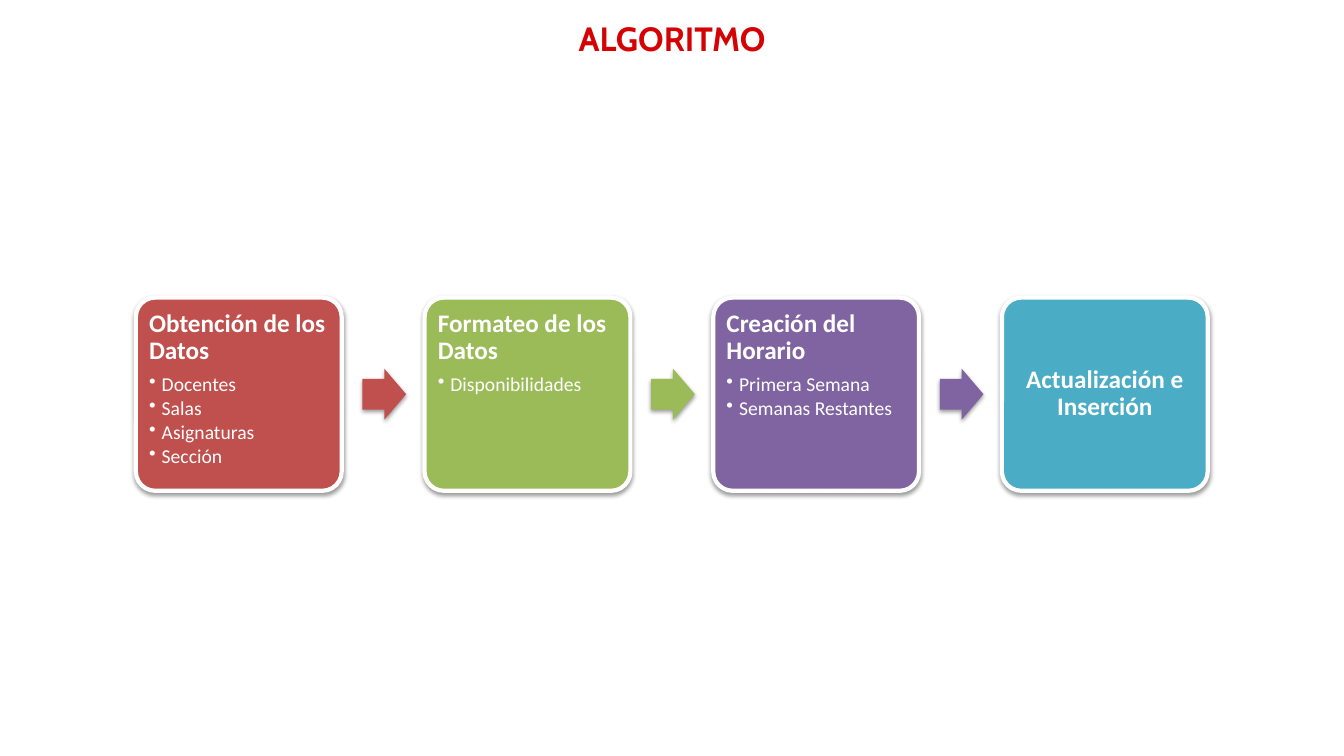
from lxml.etree import SubElement
from pptx import Presentation
from pptx.dml.color import RGBColor
from pptx.enum.shapes import MSO_SHAPE as SHAPE
from pptx.enum.text import MSO_ANCHOR as ANCHOR, PP_ALIGN as ALIGN
from pptx.oxml.ns import qn
from pptx.util import Pt

COLORS = {
    "title": "D40202", "white": "FFFFFF", "shadow": "000000",
    "red": "C0504D", "green": "9BBB59", "purple": "8064A2", "blue": "4BACC6",
}
STEPS = [
    ("red", "Obtención de los Datos", ["Docentes", "Salas", "Asignaturas", "Sección"]),
    ("green", "Formateo de los Datos", ["Disponibilidades"]),
    ("purple", "Creación del Horario", ["Primera Semana", "Semanas Restantes"]),
    ("blue", "Actualización e Inserción", []),
]
LEFT, PITCH = 97.1, 206.2
BOX_W, BOX_H, BOX_TOP = 147, 138, 212.6
ARROW_W, ARROW_H, ARROW_GAP = 31.2, 36.5, 14.8
INDENT = 9


class Deck:
    def __init__(self):
        self.prs = Presentation()
        self.prs.slide_width, self.prs.slide_height = Pt(960), Pt(540)
        self.s = self.prs.slides.add_slide(self.prs.slide_layouts[6])

    def run(self, p, text, size, color="white", bold=False, font="Calibri"):
        r = p.add_run()
        r.text = text
        r.font.name, r.font.size, r.font.bold = font, Pt(size), bold
        r.font.color.rgb = RGBColor.from_string(COLORS[color])

    def title(self, text):
        tf = self.s.shapes.add_textbox(Pt(174), Pt(0), Pt(612), Pt(54)).text_frame
        tf.word_wrap = True
        tf.vertical_anchor = ANCHOR.MIDDLE
        p = tf.paragraphs[0]
        p.alignment = ALIGN.CENTER
        self.run(p, text, 24, "title", True, "Cabin")

    def shape(self, kind, x, y, w, h, color, adjustments):
        """Add a filled preset shape with a soft shadow below it."""
        sp = self.s.shapes.add_shape(kind, Pt(x), Pt(y), Pt(w), Pt(h))
        for i, value in enumerate(adjustments):
            sp.adjustments[i] = value
        sp.fill.solid()
        sp.fill.fore_color.rgb = RGBColor.from_string(COLORS[color])
        sp.line.fill.background()
        sp.shadow.inherit = False
        effects = sp.element.spPr.find(qn("a:effectLst"))
        shadow = SubElement(effects, qn("a:outerShdw"), blurRad=str(Pt(3.1)),
                            dist=str(Pt(1.6)), dir="5400000", rotWithShape="0")
        tint = SubElement(shadow, qn("a:srgbClr"), val=COLORS["shadow"])
        SubElement(tint, qn("a:alpha"), val="38000")
        return sp

    def box(self, x, color, heading, items):
        sp = self.shape(SHAPE.ROUNDED_RECTANGLE, x, BOX_TOP, BOX_W, BOX_H, color, [0.1])
        sp.line.color.rgb = RGBColor.from_string(COLORS["white"])
        sp.line.width = Pt(3)
        tf = sp.text_frame
        tf.word_wrap = True
        tf.margin_left = tf.margin_right = tf.margin_top = tf.margin_bottom = Pt(5.4)
        tf.vertical_anchor = ANCHOR.TOP if items else ANCHOR.MIDDLE
        p = tf.paragraphs[0]
        p.alignment = ALIGN.LEFT if items else ALIGN.CENTER
        p.line_spacing, p.space_after = 0.9, Pt(6.3)
        self.run(p, heading, 18, bold=True)
        for item in items:
            self.bullet(tf.add_paragraph(), item)

    def bullet(self, p, text):
        p.level, p.alignment = 1, ALIGN.LEFT
        p.line_spacing, p.space_after = 0.9, Pt(2.1)
        pPr = p._p.get_or_add_pPr()
        pPr.set("marL", str(Pt(INDENT)))
        pPr.set("indent", str(-Pt(INDENT)))
        SubElement(pPr, qn("a:buChar"), char="•")
        self.run(p, text, 14)

    def arrow(self, x, color):
        y = BOX_TOP + (BOX_H - ARROW_H) / 2
        self.shape(SHAPE.RIGHT_ARROW, x, y, ARROW_W, ARROW_H, color, [0.6, 0.5])


def main():
    deck = Deck()
    deck.title("ALGORITMO")
    for i, (color, heading, items) in enumerate(STEPS):
        x = LEFT + i * PITCH
        deck.box(x, color, heading, items)
        if i < len(STEPS) - 1:
            deck.arrow(x + BOX_W + ARROW_GAP, color)
    deck.prs.save("out.pptx")


if __name__ == "__main__":
    main()
